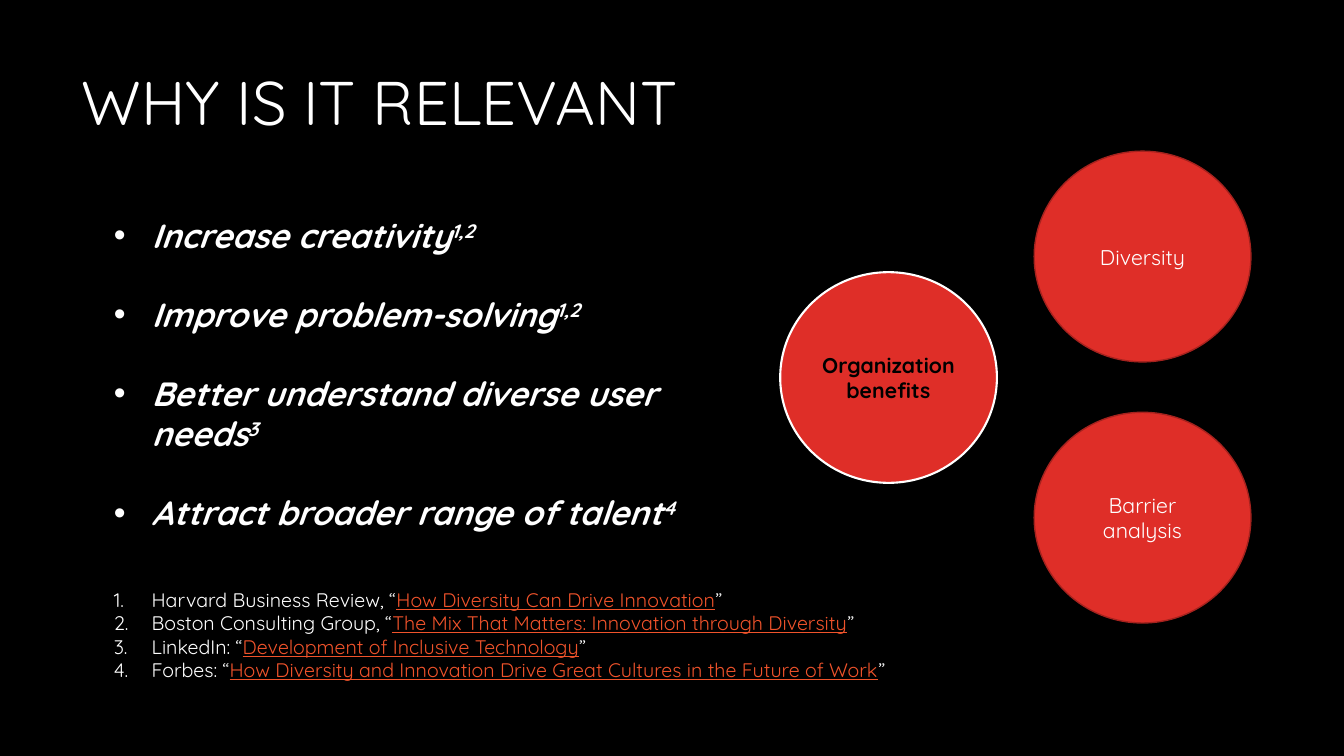
"""Build the slide on why diversity is relevant to an organization."""
from dataclasses import dataclass

from lxml.etree import SubElement
from pptx import Presentation
from pptx.dml.color import RGBColor
from pptx.enum.shapes import MSO_SHAPE as Shape
from pptx.enum.text import MSO_ANCHOR as Anchor, MSO_AUTO_SIZE as AutoSize, PP_ALIGN as Align
from pptx.oxml.ns import qn
from pptx.util import Pt


@dataclass(frozen=True)
class Theme:
    font: str = "Quicksand"
    background: str = "000000"
    text: str = "FFFFFF"
    accent: str = "DF2E28"
    outline: str = "A5221E"
    link: str = "F0532B"
    title_size: float = 44
    bullet_size: float = 24
    circle_size: float = 15.2
    source_size: float = 14
    list_indent: float = 27
    bullet_gap: float = 27.7


BULLETS = [
    ("Increase creativity", "1,2"),
    ("Improve problem-solving", "1,2"),
    ("Better understand diverse user needs", "3"),
    ("Attract broader range of talent", "4"),
]
SOURCES = [
    ("Harvard Business Review, “", "How Diversity Can Drive Innovation"),
    ("Boston Consulting Group, “", "The Mix That Matters: Innovation through Diversity"),
    ("LinkedIn: “", "Development of Inclusive Technology"),
    ("Forbes: “", "How Diversity and Innovation Drive Great Cultures in the Future of Work"),
]
CIRCLE_WIDTH, CIRCLE_HEIGHT = 154.8, 150.5
LEFT_COLUMN, RIGHT_COLUMN = 557.3, 738.7
TOP_ROW, MIDDLE_ROW, BOTTOM_ROW = 108, 194.4, 294.5


class SlideBuilder:
    def __init__(self, slide, theme):
        self.slide = slide
        self.theme = theme
        fill = slide.background.fill
        fill.solid()
        fill.fore_color.rgb = RGBColor.from_string(theme.background)

    def style(self, run, size, color=None, bold=False, italic=False):
        font = run.font
        font.name = self.theme.font
        font.size = Pt(size)
        font.bold = bold
        font.italic = italic
        font.color.rgb = RGBColor.from_string(color or self.theme.text)

    def add_run(self, paragraph, text, size, **options):
        run = paragraph.add_run()
        run.text = text
        self.style(run, size, **options)
        return run

    def title(self, text, left, top, width, height):
        shape = self.slide.shapes.title
        shape.left, shape.top, shape.width, shape.height = map(Pt, (left, top, width, height))
        frame = shape.text_frame
        frame.text = text
        frame.auto_size = AutoSize.NONE
        frame.vertical_anchor = Anchor.MIDDLE
        paragraph = frame.paragraphs[0]
        paragraph.alignment = Align.RIGHT
        paragraph.line_spacing = 0.9
        self.style(paragraph.runs[0], self.theme.title_size)

    def list_paragraphs(self, count, left, top, width, height, marker, **attributes):
        box = self.slide.shapes.add_textbox(Pt(left), Pt(top), Pt(width), Pt(height))
        frame = box.text_frame
        frame.word_wrap = True
        for index in range(count):
            paragraph = frame.add_paragraph() if index else frame.paragraphs[0]
            properties = paragraph._p.get_or_add_pPr()
            indent = Pt(self.theme.list_indent)
            properties.set("marL", str(indent))
            properties.set("indent", str(-indent))
            if marker == "a:buChar":
                SubElement(properties, qn("a:buFont"), typeface="Arial")
            SubElement(properties, qn(marker), **attributes)
            yield index, paragraph

    def bullets(self, items, left, top, width, height):
        paragraphs = self.list_paragraphs(
            len(items), left, top, width, height, "a:buChar", char="•")
        for index, paragraph in paragraphs:
            if index:
                paragraph.space_before = Pt(self.theme.bullet_gap)
            for text, baseline in zip(items[index], ("0", "30000")):
                run = self.add_run(
                    paragraph, text, self.theme.bullet_size, bold=True, italic=True)
                run.font._element.set("baseline", baseline)

    def sources(self, items, left, top, width, height):
        paragraphs = self.list_paragraphs(
            len(items), left, top, width, height, "a:buAutoNum", type="arabicPeriod")
        size = self.theme.source_size
        for index, paragraph in paragraphs:
            publisher, headline = items[index]
            self.add_run(paragraph, publisher, size)
            link = self.add_run(paragraph, headline, size, color=self.theme.link)
            link.font.underline = True
            self.add_run(paragraph, "”", size)

    def circle(self, text, left, top, highlighted=False):
        theme = self.theme
        shape = self.slide.shapes.add_shape(
            Shape.OVAL, Pt(left), Pt(top), Pt(CIRCLE_WIDTH), Pt(CIRCLE_HEIGHT))
        shape.shadow.inherit = False
        shape.fill.solid()
        shape.fill.fore_color.rgb = RGBColor.from_string(theme.accent)
        shape.line.color.rgb = RGBColor.from_string(theme.text if highlighted else theme.outline)
        shape.line.width = Pt(1.5 if highlighted else 1)
        frame = shape.text_frame
        frame.word_wrap = True
        frame.vertical_anchor = Anchor.MIDDLE
        frame.margin_left = frame.margin_right = Pt(2)
        frame.text = text
        paragraph = frame.paragraphs[0]
        paragraph.alignment = Align.CENTER
        color = theme.background if highlighted else theme.text
        self.style(paragraph.runs[0], theme.circle_size, color=color, bold=highlighted)


def main():
    presentation = Presentation()
    presentation.slide_width, presentation.slide_height = Pt(960), Pt(540)
    slide = presentation.slides.add_slide(presentation.slide_layouts[5])
    builder = SlideBuilder(slide, Theme())
    builder.title("WHY IS IT RELEVANT", 23, 23, 468.7, 104.4)
    builder.bullets(BULLETS, 74.2, 149.8, 442.8, 239.8)
    builder.circle("Barrier analysis", RIGHT_COLUMN, BOTTOM_ROW)
    builder.circle("Organization benefits", LEFT_COLUMN, MIDDLE_ROW, highlighted=True)
    builder.circle("Diversity", RIGHT_COLUMN, TOP_ROW)
    builder.sources(SOURCES, 74.2, 416.2, 635.8, 74.9)
    presentation.save("out.pptx")


if __name__ == "__main__":
    main()
